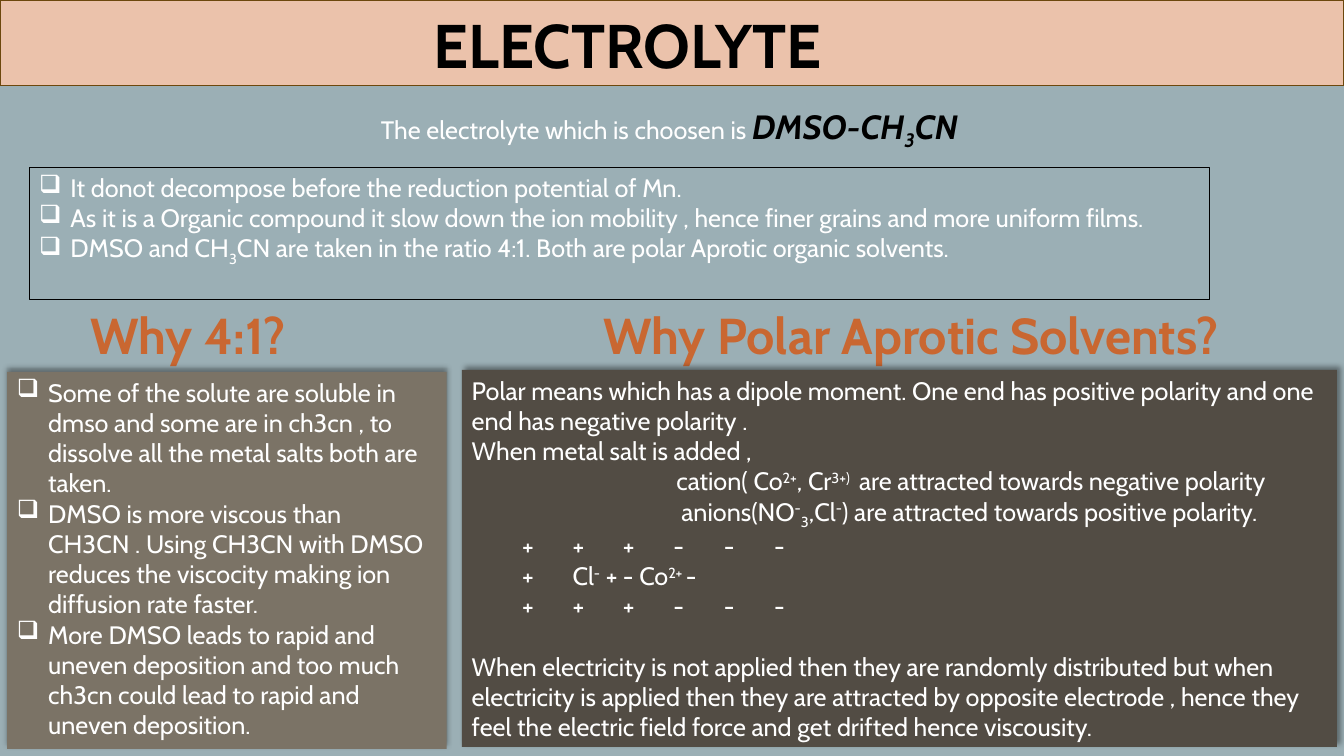
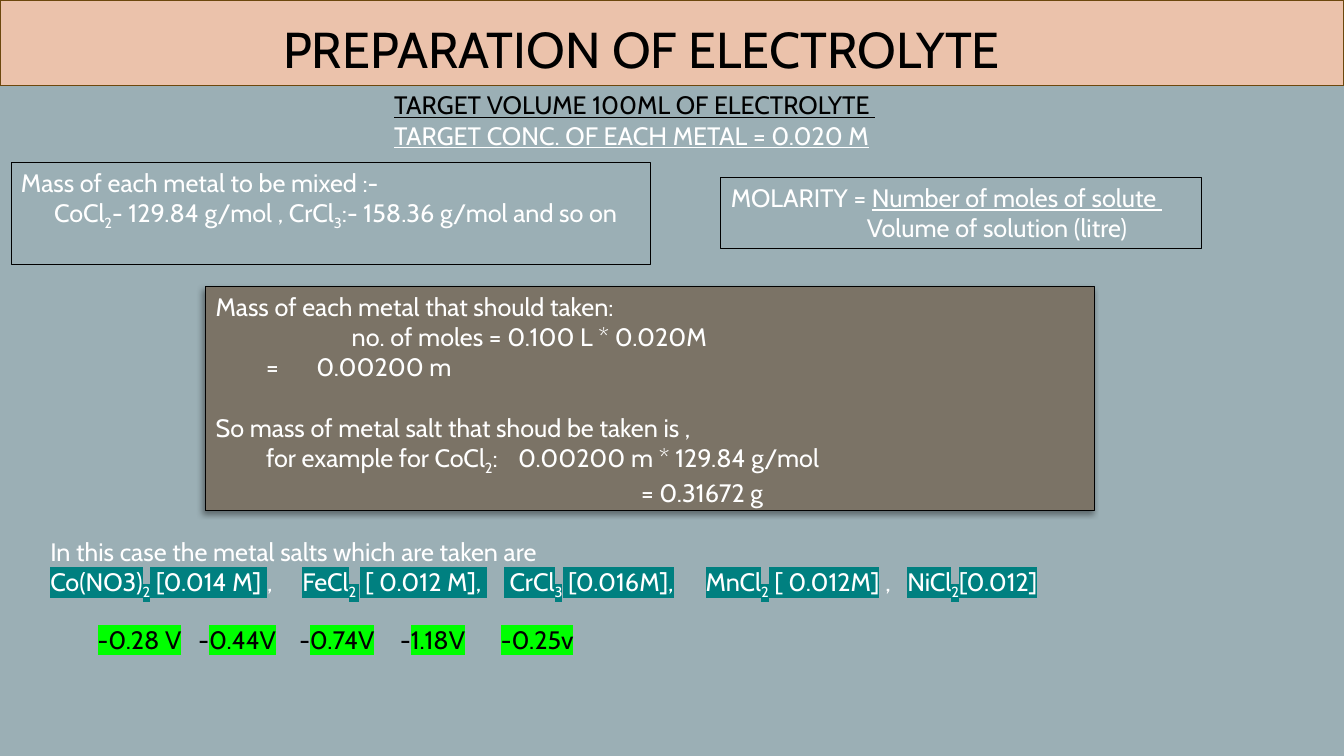
from typing import NamedTuple

import lxml.etree
import pptx
import pptx.dml.color
import pptx.enum.shapes
import pptx.enum.text
import pptx.oxml.ns
import pptx.util

Inches = pptx.util.Inches
Pt = pptx.util.Pt
qn = pptx.oxml.ns.qn
Align = pptx.enum.text.PP_ALIGN

FONT = "Cabin"
BACKGROUND = "9BAFB5"
BAND, BAND_LINE = "EBC2AB", "6C470D"
TAUPE, UMBER = "7B7366", "524C44"
WHITE, BLACK, ORANGE = "FFFFFF", "000000", "C96731"
TEAL, GREEN = "008080", "00FF00"
SUB, SUP = -25, 30
LINE_GAP = 21.6  # one line of 18 pt text


class Run(NamedTuple):
    text: str
    size: float = 18
    color: str = WHITE
    bold: bool = False
    italic: bool = False
    underline: bool = False
    base: int = 0
    highlight: str = ""


class Para(NamedTuple):
    """A paragraph; indent and tab stops are in inches, before in points."""
    runs: tuple[str | Run, ...]
    indent: float = 0
    tabs: tuple[float, ...] = ()
    before: float = 0
    bullet: bool = False


class Box(NamedTuple):
    """A text block; a shadow is the angle at which it falls."""
    left: float
    top: float
    width: float
    height: float
    paras: tuple[Para, ...] = ()
    fill: str = ""
    line: str = ""
    line_width: float = 0.75
    shadow: int | None = None
    align: Align = Align.LEFT
    wrap: bool = True


def rgb(value: str) -> pptx.dml.color.RGBColor:
    return pptx.dml.color.RGBColor.from_string(value)


def para(*runs: str | Run, **layout) -> Para:
    return Para(runs, **layout)


def bullet(*runs: str | Run) -> Para:
    return Para(runs, indent=0.31, bullet=True)


def sub(text: str, **style) -> Run:
    return Run(text, base=SUB, **style)


def sup(text: str) -> Run:
    return Run(text, base=SUP)


def add_run(p, text: str, *, size: float, color: str, bold: bool, italic: bool,
            underline: bool, base: int, highlight: str) -> None:
    r = p.add_run()
    r.text = text
    r.font.name = FONT
    r.font.size = Pt(size)
    r.font.color.rgb = rgb(color)
    r.font.bold, r.font.italic, r.font.underline = bold, italic, underline
    rPr = r._r.get_or_add_rPr()
    if base:
        rPr.set("baseline", str(base * 1000))
    if highlight:
        mark = lxml.etree.Element(qn("a:highlight"))
        lxml.etree.SubElement(mark, qn("a:srgbClr"), val=highlight)
        rPr.find(qn("a:latin")).addprevious(mark)


def fill_para(p, item: Para, align: Align) -> None:
    pPr = p._p.get_or_add_pPr()
    pPr.set("marL", str(Inches(item.indent)))
    pPr.set("indent", str(-Inches(item.indent) if item.bullet else 0))
    if item.bullet:
        lxml.etree.SubElement(pPr, qn("a:buChar"), char="❑")
    else:
        lxml.etree.SubElement(pPr, qn("a:buNone"))
    if item.tabs:
        stops = lxml.etree.SubElement(pPr, qn("a:tabLst"))
        for stop in item.tabs:
            lxml.etree.SubElement(stops, qn("a:tab"), pos=str(Inches(stop)), algn="l")
    p.alignment = align
    if item.before:
        p.space_before = Pt(item.before)
    for run in item.runs:
        style = (Run(run) if isinstance(run, str) else run)._asdict()
        add_run(p, style.pop("text"), **style)


def add_shadow(sp, angle: int) -> None:
    effects = sp._element.spPr.find(qn("a:effectLst"))
    shadow = lxml.etree.SubElement(
        effects, qn("a:outerShdw"), blurRad=str(Pt(4)), dist=str(Pt(3)),
        dir=str(angle * 60000), algn="ctr", rotWithShape="0")
    color = lxml.etree.SubElement(shadow, qn("a:srgbClr"), val=BLACK)
    lxml.etree.SubElement(color, qn("a:alpha"), val="40000")


def add_box(s, box: Box) -> None:
    """Draw a rectangle when the box has a fill or line, else a text box."""
    place = [Inches(v) for v in (box.left, box.top, box.width, box.height)]
    if box.fill or box.line:
        sp = s.shapes.add_shape(pptx.enum.shapes.MSO_SHAPE.RECTANGLE, *place)
        sp.shadow.inherit = False
        if box.fill:
            sp.fill.solid()
            sp.fill.fore_color.rgb = rgb(box.fill)
        else:
            sp.fill.background()
        if box.line:
            sp.line.color.rgb = rgb(box.line)
            sp.line.width = Pt(box.line_width)
        else:
            sp.line.fill.background()
        if box.shadow is not None:
            add_shadow(sp, box.shadow)
    else:
        sp = s.shapes.add_textbox(*place)
    tf = sp.text_frame
    tf.word_wrap = box.wrap
    tf.vertical_anchor = pptx.enum.text.MSO_ANCHOR.TOP
    for i, item in enumerate(box.paras):
        fill_para(tf.add_paragraph() if i else tf.paragraphs[0], item, box.align)


def add_slide(prs, title: Box, boxes: list[Box]) -> None:
    s = prs.slides.add_slide(prs.slide_layouts[6])
    s.background.fill.solid()
    s.background.fill.fore_color.rgb = rgb(BACKGROUND)
    band = Box(0, 0, 13.33, 0.85, fill=BAND, line=BAND_LINE, line_width=1)
    for box in (band, title, *boxes):
        add_box(s, box)


def heading(text: str, left: float, width: float) -> Box:
    run = Run(text, size=36, color=ORANGE, bold=True)
    return Box(left, 2.97, width, 0.71, (para(run),), align=Align.CENTER, wrap=False)


def electrolyte(prs) -> None:
    name = {"size": 24, "color": BLACK, "bold": True, "italic": True}
    title = Run("ELECTROLYTE", size=44, color=BLACK, bold=True)
    ions = (0.63, 0.96, 1.36, 2.32, 2.6, 2.88)
    shifted_ions = (0.68, 1.01, 1.36, 2.32, 2.54, 2.88)
    add_slide(prs, Box(4.2, 0.02, 4.94, 0.84, (para(title),)), [
        Box(3.68, 1, 6.42, 0.5, (
            para("The electrolyte which is choosen is ", Run("DMSO-CH", **name),
                 sub("3", **name), Run("CN", **name)),)),
        Box(0.29, 1.66, 11.71, 1.31, (
            bullet("It donot decompose before the reduction potential of Mn."),
            bullet("As it is a Organic compound it slow down the ion mobility , "
                   "hence finer grains and more uniform films."),
            bullet("DMSO and CH", sub("3"), "CN are taken in the ratio 4:1. "
                   "Both are polar Aprotic organic solvents."),
        ), line=BLACK),
        heading("Why 4:1?", 0.69, 2.35),
        Box(0.07, 3.69, 4.36, 3.74, (
            bullet("Some of the solute are soluble in dmso and some are in ch3cn , "
                   "to dissolve all the metal salts both are taken."),
            bullet("DMSO is more viscous than CH3CN . Using CH3CN with DMSO reduces "
                   "the viscocity making ion diffusion rate faster."),
            bullet("More DMSO leads to rapid and uneven deposition and too much "
                   "ch3cn could lead to rapid and uneven deposition."),
        ), fill=TAUPE, shadow=270),
        heading("Why Polar Aprotic Solvents?", 5.59, 6.89),
        Box(4.58, 3.67, 8.68, 3.74, (
            para("Polar means which has a dipole moment. One end has positive polarity "
                 "and one end has negative polarity ."),
            para("When metal salt is added ,"),
            para("cation( Co", sup("2+"), ", Cr", sup("3+) "),
                 " are attracted towards negative polarity", indent=2.03),
            para("anions(NO", sup("-"), sub("3"), ",Cl", sup("-"),
                 ") are attracted towards positive polarity.", indent=2.08),
            para("\t+\t+\t+\t-\t-\t-", tabs=ions),
            para("\t+\tCl", sup("-"), " +\t- Co", sup("2+ "), "-",
                 tabs=(0.63, 1.01, 2.32)),
            para("\t+\t+\t+\t-\t-\t-", tabs=shifted_ions),
            para("When electricity is not applied then they are randomly distributed "
                 "but when electricity is applied then they are attracted by opposite "
                 "electrode , hence they feel the electric field force and get drifted "
                 "hence viscousity.", before=LINE_GAP),
        ), fill=UMBER, shadow=315),
    ])


def salt(formula: str, count: str, amount: str) -> tuple[Run, ...]:
    return (Run(formula, highlight=TEAL), sub(count, highlight=TEAL),
            Run(amount, highlight=TEAL))


def volt(text: str, sign: str = "") -> tuple[Run, ...]:
    return Run(f"\t{sign}", color=BLACK), Run(text, color=BLACK, highlight=GREEN)


def preparation(prs) -> None:
    title = Run("PREPARATION OF ELECTROLYTE", size=36, color=BLACK)
    add_slide(prs, Box(2.71, 0.13, 9.1, 0.71, (para(title),)), [
        Box(3.81, 0.84, 6.05, 0.4, (para(Run(
            "TARGET VOLUME 100ML OF ELECTROLYTE ", color=BLACK, underline=True)),)),
        Box(3.81, 1.14, 6.47, 0.4, (para(Run(
            "TARGET CONC. OF EACH METAL = 0.020 M", underline=True)),)),
        Box(0.11, 1.61, 6.34, 1.01, (
            para("Mass of each metal to be mixed :-"),
            para("CoCl", sub("2"), "- 129.84 g/mol , CrCl", sub("3"),
                 ":- 158.36 g/mol and so on", indent=0.33),
        ), line=BLACK),
        Box(7.15, 1.76, 4.77, 0.71, (
            para("MOLARITY = ", Run("Number of moles of solute ", underline=True)),
            para("Volume of solution (litre)", indent=1.35),
        ), line=BLACK),
        Box(2.04, 2.84, 8.82, 2.22, (
            para("Mass of each metal that should taken:"),
            para("no. of moles = 0.100 L * 0.020M", indent=1.35),
            para("\t=\t0.00200 m", tabs=(2.42, 2.66)),
            para("So mass of metal salt that shoud be taken is ,", before=LINE_GAP),
            para("\tfor example for CoCl", sub("2"), ":\t0.00200 m * 129.84 g/mol",
                 tabs=(2.2, 4.68)),
            para("= 0.31672 g", indent=4.22),
        ), fill=TAUPE, line=BLACK, shadow=135),
        Box(0.4, 5.27, 10.95, 0.71, (
            para("In this case the metal salts which are taken are"),
            para(*salt("Co(NO3)", "2", " [0.014 M] "), ",\t",
                 *salt("FeCl", "2 ", " [ 0.012 M], "), "\t",
                 *salt(" CrCl", "3", " [0.016M],"), "\t",
                 *salt("MnCl", "2", " [ 0.012M]"), " ,\t",
                 *salt("NiCl", "2", "[0.012]"), tabs=(2.32, 4.26, 6.12, 8.06)),
        )),
        Box(0.87, 6.14, 9.29, 0.4, (
            para(Run("-0.28 V", color=BLACK, highlight=GREEN), *volt("0.44V", "-"),
                 *volt("0.74V", "-"), *volt("1.18V", "-"), *volt("-0.25v"),
                 tabs=(2.18, 4.08, 5.78, 7.37)),)),
    ])


def main() -> None:
    prs = pptx.Presentation()
    prs.slide_width, prs.slide_height = Inches(13.33), Inches(7.5)
    electrolyte(prs)
    preparation(prs)
    prs.save("out.pptx")


if __name__ == "__main__":
    main()
